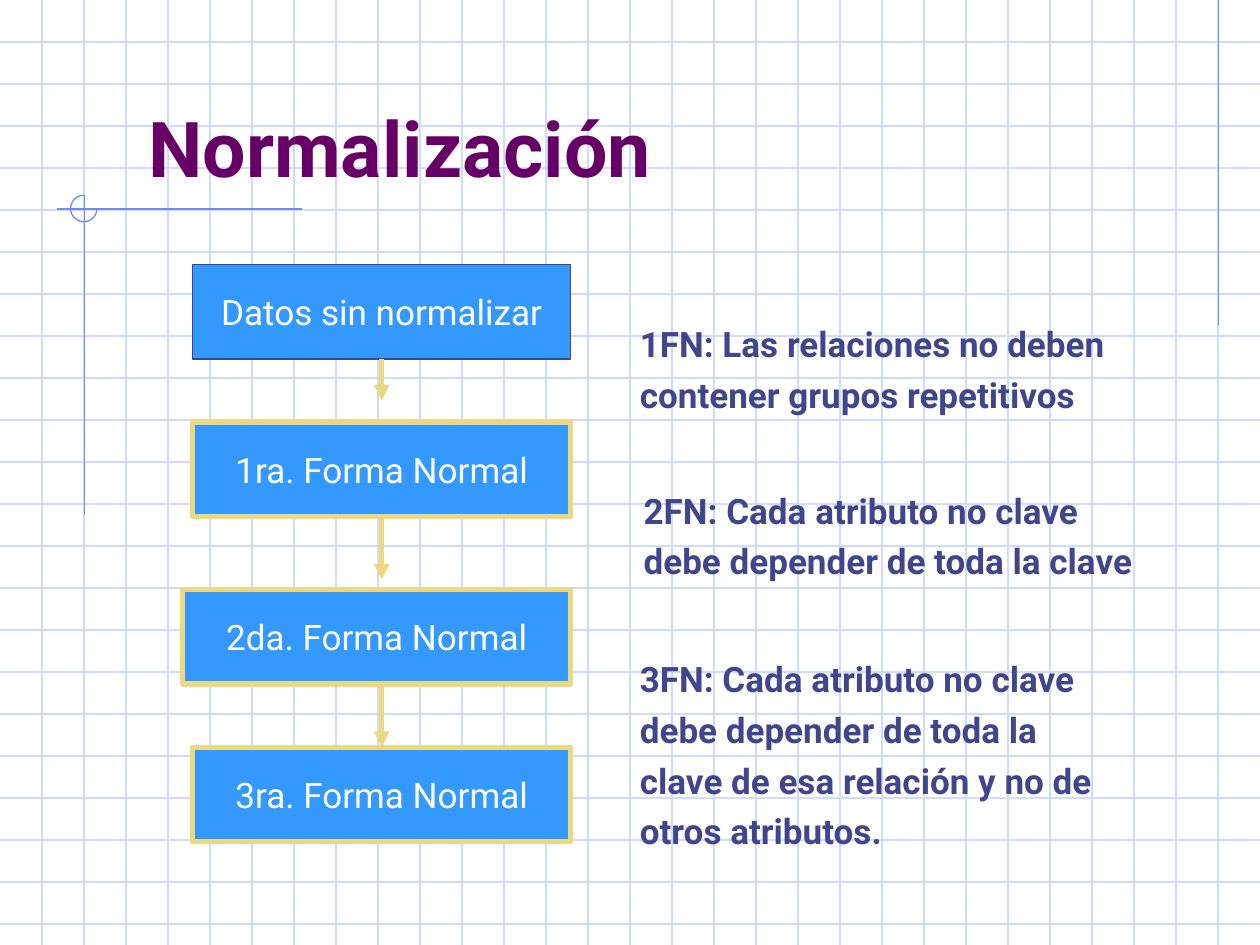
from dataclasses import dataclass

import pptx
import pptx.dml.color
import pptx.enum.shapes
import pptx.enum.text
import pptx.oxml.ns
import pptx.util
from lxml import etree
from pptx.util import Inches

WIDTH, HEIGHT = 10, 7.5
GRID_STEP = 1 / 3
FONT = "Roboto"
GRID, ACCENT, GOLD = "CFDBFD", "6F89F7", "ECD882"
BLUE, NAVY, PURPLE, WHITE = "3399FF", "40458C", "660066", "FFFFFF"

ANCHOR = pptx.enum.text.MSO_ANCHOR
ALIGN = pptx.enum.text.PP_ALIGN
SHAPE = pptx.enum.shapes.MSO_SHAPE


@dataclass
class Step:
    text: str
    left: float
    top: float
    width: float
    border: str = GOLD
    border_width: float = 3


@dataclass
class Arrow:
    top: float
    bottom: float


@dataclass
class Rule:
    lines: list[str]
    left: float
    top: float
    width: float
    height: float


STEPS = [
    Step("Datos sin normalizar", 1.53, 2.1, 3, NAVY, 0.75),
    Step("1ra. Forma Normal", 1.53, 3.35, 3),
    Step("2da. Forma Normal", 1.45, 4.68, 3.08),
    Step("3ra. Forma Normal", 1.53, 5.93, 3),
]
ARROWS = [Arrow(2.85, 3.18), Arrow(4.1, 4.6), Arrow(5.43, 5.93)]
RULES = [
    Rule(["1FN: Las relaciones no deben", "contener grupos repetitivos"],
         4.98, 2.51, 4.22, 0.84),
    Rule(["2FN: Cada atributo no clave", "debe depender de toda la clave"],
         5.01, 3.83, 4.52, 0.84),
    Rule(["3FN: Cada atributo no clave", "debe depender de toda la",
          "clave de esa relación y no de", "otros atributos."],
         4.98, 5.17, 4.22, 1.64),
]


def color(value: str) -> pptx.dml.color.RGBColor:
    return pptx.dml.color.RGBColor.from_string(value)


def write_text(shape, lines: list[str], *, size: float, fill: str, bold=False,
               align=ALIGN.LEFT, anchor=ANCHOR.MIDDLE, before: float = 5,
               wrap=False) -> None:
    frame = shape.text_frame
    frame.word_wrap = wrap
    frame.vertical_anchor = anchor
    for index, line in enumerate(lines):
        paragraph = frame.add_paragraph() if index else frame.paragraphs[0]
        paragraph.alignment = align
        paragraph.space_before = pptx.util.Pt(before)
        run = paragraph.add_run()
        run.text = line
        run.font.name = FONT
        run.font.size = pptx.util.Pt(size)
        run.font.bold = bold
        run.font.color.rgb = color(fill)


def add_line(shapes, x1: float, y1: float, x2: float, y2: float, stroke: str,
             width: float = 0.75, arrow=False) -> None:
    connector = shapes.add_connector(
        pptx.enum.shapes.MSO_CONNECTOR.STRAIGHT,
        Inches(x1), Inches(y1), Inches(x2), Inches(y2))
    connector.line.color.rgb = color(stroke)
    connector.line.width = pptx.util.Pt(width)
    if arrow:
        etree.SubElement(connector.line._get_or_add_ln(),
                         pptx.oxml.ns.qn("a:tailEnd"), type="triangle")
    properties = connector._element.spPr
    etree.SubElement(properties, pptx.oxml.ns.qn("a:effectLst"))


def add_step(shapes, step: Step) -> None:
    shape = shapes.add_shape(SHAPE.RECTANGLE, Inches(step.left), Inches(step.top),
                             Inches(step.width), Inches(0.75))
    shape.shadow.inherit = False
    shape.fill.solid()
    shape.fill.fore_color.rgb = color(BLUE)
    shape.line.color.rgb = color(step.border)
    shape.line.width = pptx.util.Pt(step.border_width)
    write_text(shape, [step.text], size=20, fill=WHITE, align=ALIGN.CENTER)


def add_rule(shapes, rule: Rule) -> None:
    box = shapes.add_textbox(Inches(rule.left), Inches(rule.top),
                             Inches(rule.width), Inches(rule.height))
    write_text(box, rule.lines, size=20, fill=NAVY, bold=True)


def add_background(shapes) -> None:
    # Graph paper
    for row in range(1, 23):
        add_line(shapes, 0, row * GRID_STEP, WIDTH, row * GRID_STEP, GRID)
    for column in range(1, 30):
        add_line(shapes, column * GRID_STEP, 0, column * GRID_STEP, HEIGHT, GRID)

    # Accent lines and three-quarter ring
    add_line(shapes, 9.67, 0, 9.67, 2.58, ACCENT)
    add_line(shapes, 2.4, 1.66, 0.45, 1.66, ACCENT)
    add_line(shapes, 0.67, 1.55, 0.67, 4.09, ACCENT)
    ring = shapes.add_shape(SHAPE.ARC, Inches(0.56), Inches(1.55),
                            Inches(0.21), Inches(0.21))
    ring.adjustments[0] = 0
    ring.adjustments[1] = 162  # 270 degrees, in units of 100000/60000 degree
    ring.shadow.inherit = False
    ring.fill.background()
    ring.line.color.rgb = color(ACCENT)
    ring.line.width = pptx.util.Pt(0.75)


def main() -> None:
    presentation = pptx.Presentation()
    presentation.slide_width = Inches(WIDTH)
    presentation.slide_height = Inches(HEIGHT)
    slide = presentation.slides.add_slide(presentation.slide_layouts[6])
    slide.background.fill.solid()
    slide.background.fill.fore_color.rgb = color(WHITE)
    shapes = slide.shapes
    add_background(shapes)

    # Title
    title = shapes.add_textbox(Inches(1.08), Inches(0.33), Inches(8.5), Inches(1.25))
    write_text(title, ["Normalización"], size=44, fill=PURPLE, bold=True,
               anchor=ANCHOR.BOTTOM, before=0, wrap=True)

    # Normalization flow
    for step in STEPS:
        add_step(shapes, step)
    for arrow in ARROWS:
        add_line(shapes, 3.03, arrow.top, 3.03, arrow.bottom, GOLD, 3, arrow=True)

    # Definitions of the normal forms
    for rule in RULES:
        add_rule(shapes, rule)

    presentation.save("out.pptx")


if __name__ == "__main__":
    main()
